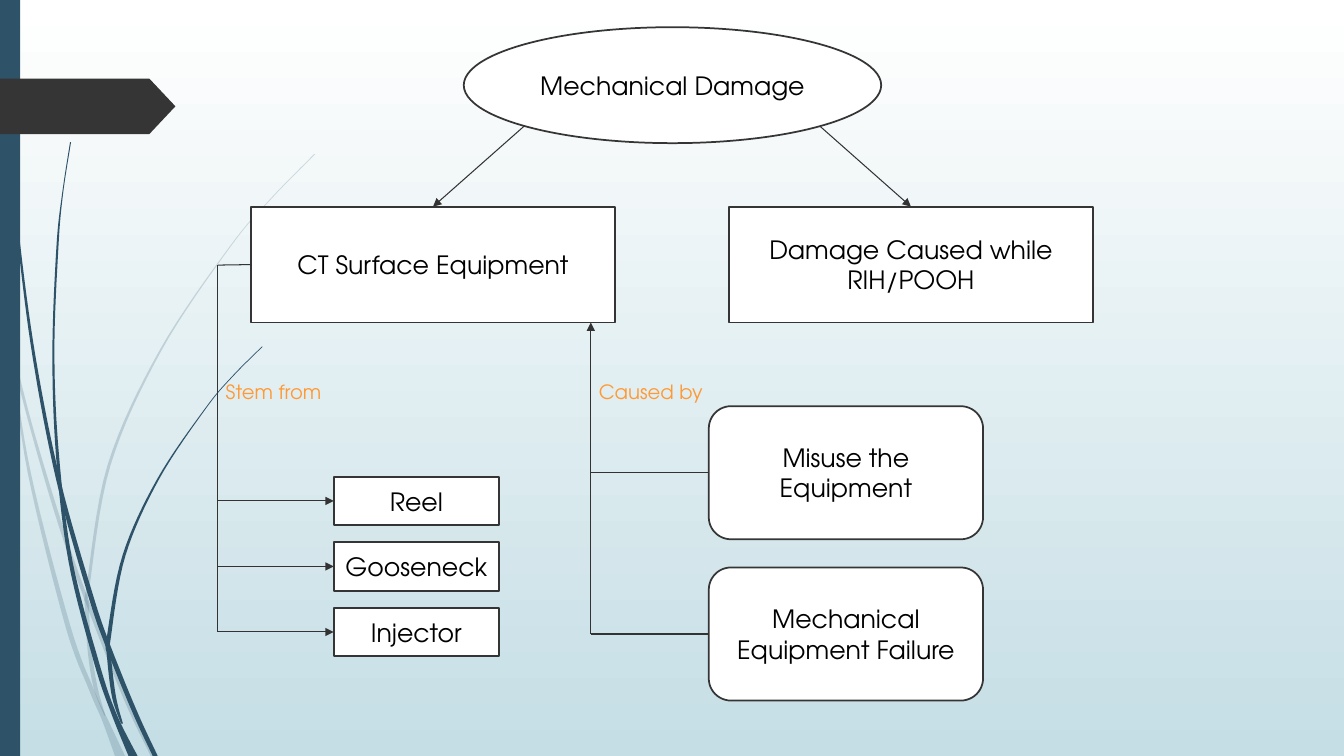
from lxml.etree import SubElement
from pptx import Presentation
from pptx.dml.color import RGBColor
from pptx.enum.shapes import MSO_CONNECTOR, MSO_SHAPE
from pptx.enum.text import MSO_ANCHOR, MSO_AUTO_SIZE, PP_ALIGN
from pptx.oxml.ns import qn
from pptx.util import Pt

PX = 9144
FONT = "TeX Gyre Adventor"
WHITE = RGBColor(0xFF, 0xFF, 0xFF)
BLACK = RGBColor(0x00, 0x00, 0x00)
MIST = RGBColor(0xC5, 0xDE, 0xE5)
NAVY = RGBColor(0x2E, 0x53, 0x69)
CHARCOAL = RGBColor(0x35, 0x35, 0x35)
LINE_GREY = RGBColor(0x33, 0x33, 0x33)
ORANGE = RGBColor(0xFF, 0x99, 0x33)

PALE_STEMS = [
    [(0, 290, 3), (12, 348, 3), (32, 427, 3), (60, 521, 4), (87, 598, 4),
     (125, 693, 5), (152, 750, 5)],
    [(11, 350, 1), (29, 469, 3), (67, 620, 5), (91, 685, 5), (104, 714, 6), (119, 750, 10)],
    [(312, 153, 1), (268, 198, 1), (228, 245, 1), (159, 348, 2), (108, 462, 3),
     (87, 584, 3), (86, 599, 4), (89, 646, 4), (95, 683, 4), (104, 710, 1)],
]
DARK_STEMS = [
    [(4, 0, 1), (7, 110, 1), (18, 233, 2), (34, 355, 3), (58, 477, 4), (90, 591, 5),
     (108, 643, 5), (134, 707, 5), (154, 750, 5)],
    [(70, 141, 1), (62, 193, 1), (57, 245, 2), (53, 349, 2), (57, 451, 3),
     (70, 557, 4), (96, 658, 5), (113, 708, 5), (132, 750, 9)],
    [(260, 344, 1), (231, 373, 1), (204, 405, 1), (157, 475, 2), (123, 551, 3),
     (108, 632, 4), (108, 650, 4), (113, 691, 4), (121, 718, 2)],
]


def px(*lengths):
    """Turn px lengths into EMU."""
    return [round(v * PX) for v in lengths]


def paint(s, fill):
    """Give a shape a plain fill without line or shadow."""
    s.shadow.inherit = False
    s.fill.solid()
    s.fill.fore_color.rgb = fill
    s.line.fill.background()


def smooth(knots, steps=8):
    """Return points of a Catmull-Rom curve through the knots."""
    ends = [knots[0], *knots, knots[-1]]
    points = []
    for a, b, c, d in zip(ends, ends[1:], ends[2:], ends[3:]):
        for i in range(steps):
            t = i / steps
            points.append([
                (2 * q + (r - p) * t + (2 * p - 5 * q + 4 * r - s) * t ** 2
                 + (3 * q - p - 3 * r + s) * t ** 3) / 2
                for p, q, r, s in zip(a, b, c, d)])
    return points + [knots[-1]]


def add_stem(slide, knots, alpha=None):
    """Draw one grass stem from its (x, y, width) knots."""
    points = smooth(knots)
    edge = [px(x - w / 2, y) for x, y, w in points]
    edge += [px(x + w / 2, y) for x, y, w in reversed(points)]
    builder = slide.shapes.build_freeform(*edge[0], scale=1.0)
    builder.add_line_segments(edge[1:], close=True)
    s = builder.convert_to_shape()
    paint(s, NAVY)
    if alpha:
        color = s.element.spPr.find(qn("a:solidFill")).find(qn("a:srgbClr"))
        SubElement(color, qn("a:alpha"), val=str(alpha * 1000))


def add_backdrop(slide, width, height):
    """Set the gradient and draw the grass, side bar and page arrow."""
    fill = slide.background.fill
    fill.gradient()
    fill.gradient_angle = 270
    for stop, position, color in zip(fill.gradient_stops, (0, 1), (WHITE, MIST)):
        stop.position = position
        stop.color.rgb = color
    for knots in PALE_STEMS:
        add_stem(slide, knots, alpha=20)
    for knots in DARK_STEMS:
        add_stem(slide, knots)
    bar = slide.shapes.add_shape(MSO_SHAPE.RECTANGLE, *px(0, 0, 20, height))
    paint(bar, NAVY)
    arrow = slide.shapes.add_shape(MSO_SHAPE.PENTAGON, *px(0, 78, 174, 55))
    arrow.adjustments[0] = 0.47
    paint(arrow, CHARCOAL)


def style_text(tf, text, size, color):
    """Write text and set its font."""
    tf.text = text
    font = tf.paragraphs[0].runs[0].font
    font.name, font.size, font.color.rgb = FONT, Pt(size), color


def add_node(slide, text, x, y, w, h, kind=MSO_SHAPE.RECTANGLE):
    """Draw a white outlined node with centred text."""
    s = slide.shapes.add_shape(kind, *px(x, y, w, h))
    paint(s, WHITE)
    s.line.color.rgb = CHARCOAL
    s.line.width = Pt(1.25)
    tf = s.text_frame
    tf.word_wrap = True
    tf.vertical_anchor = MSO_ANCHOR.MIDDLE
    style_text(tf, text, 18, BLACK)
    tf.paragraphs[0].alignment = PP_ALIGN.CENTER
    return s


def add_line(slide, start, end, begin=None, finish=None, arrow=False):
    """Draw a thin line, joined to (shape, site) pairs where given."""
    c = slide.shapes.add_connector(MSO_CONNECTOR.STRAIGHT, *px(*start, *end))
    if begin:
        c.begin_connect(*begin)
    if finish:
        c.end_connect(*finish)
    c.line.color.rgb = LINE_GREY
    c.line.width = Pt(0.75)
    spPr = c.element.spPr
    if arrow:
        SubElement(spPr.find(qn("a:ln")), qn("a:tailEnd"), type="triangle")
    SubElement(spPr, qn("a:effectLst"))


def add_label(slide, text, x, y, w, h):
    """Write an orange relation label."""
    tf = slide.shapes.add_textbox(*px(x, y, w, h)).text_frame
    tf.word_wrap = False
    tf.auto_size = MSO_AUTO_SIZE.SHAPE_TO_FIT_TEXT
    style_text(tf, text, 14, ORANGE)


def add_top(slide, x, y, w):
    """Draw the root and its two branches; return the left branch."""
    add_node(slide, "Mechanical Damage", x + 211, y, 414, 115, MSO_SHAPE.OVAL)
    top = y + 178
    left = add_node(slide, "CT Surface Equipment", x, top, 361, 115)
    right = add_node(slide, "Damage Caused while RIH/POOH", x + w - 361, top, 361, 115)
    for branch, start_x, end_x in ((left, x + 271, x + 180), (right, x + 564, x + w - 180)):
        add_line(slide, (start_x, y + 98), (end_x, top), finish=(branch, 0), arrow=True)
    return left


def add_sources(slide, parent, x, y, h):
    """Draw the equipment items the parent stems from."""
    trunk_end = y + h
    add_line(slide, (x + 33, y), (x, y), begin=(parent, 1))
    add_line(slide, (x, y), (x, trunk_end))
    for i, name in enumerate(("Reel", "Gooseneck", "Injector")):
        middle = trunk_end - 65 * (2 - i)
        s = add_node(slide, name, x + 115, middle - 24, 164, 48)
        add_line(slide, (x, middle), (x + 115, middle), finish=(s, 1), arrow=True)
    add_label(slide, "Stem from", x - 2, y + 109, 117, 34)


def add_causes(slide, x, y, h):
    """Draw the causes whose trunk points up to the branch above."""
    trunk_end = y + h
    add_line(slide, (x, trunk_end), (x, y), arrow=True)
    for i, name in enumerate(("Misuse the Equipment", "Mechanical Equipment Failure")):
        middle = trunk_end - 160 * (1 - i)
        s = add_node(slide, name, x + 117, middle - 66, 272, 132, MSO_SHAPE.ROUNDED_RECTANGLE)
        add_line(slide, (x + 117, middle), (x, middle), begin=(s, 1))
    add_label(slide, "Caused by", x - 2, y + 52, 125, 34)


def main():
    """Build and save the slide."""
    prs = Presentation()
    prs.slide_width, prs.slide_height = px(1333, 750)
    slide = prs.slides.add_slide(prs.slide_layouts[6])
    add_backdrop(slide, 1333, 750)
    surface = add_top(slide, 249, 27, 835)
    add_sources(slide, surface, 216, 263, 364)
    add_causes(slide, 586, 320, 309)
    prs.save("out.pptx")


if __name__ == "__main__":
    main()
